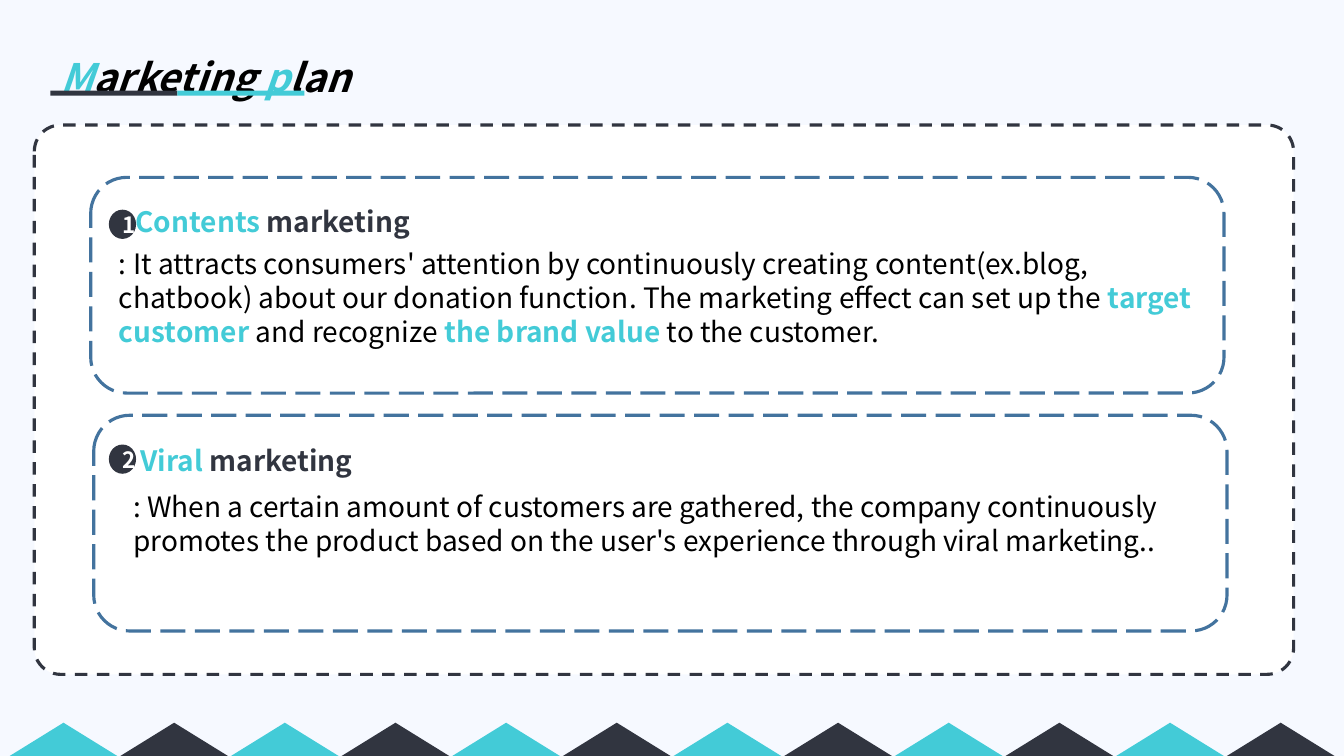
"""Build the marketing plan slide."""

from dataclasses import dataclass

from pptx import Presentation
from pptx.dml.color import RGBColor
from pptx.enum.dml import MSO_LINE
from pptx.enum.shapes import MSO_SHAPE
from pptx.enum.text import MSO_ANCHOR, MSO_AUTO_SIZE, PP_ALIGN
from pptx.oxml.xmlchemy import OxmlElement
from pptx.shapes.autoshape import Shape
from pptx.shapes.shapetree import GroupShapes, SlideShapes
from pptx.text.text import TextFrame, _Paragraph
from pptx.util import Inches, Pt

FONT = "Noto Sans CJK KR"
PALE = RGBColor(0xF6, 0xF9, 0xFF)
WHITE = RGBColor(0xFF, 0xFF, 0xFF)
BLACK = RGBColor(0x00, 0x00, 0x00)
DARK = RGBColor(0x31, 0x35, 0x40)
TEAL = RGBColor(0x43, 0xCB, 0xD7)
BLUE = RGBColor(0x43, 0x73, 0x9E)

TRIANGLE_COUNT = 12
TRIANGLE_PITCH = 1.0975


@dataclass(frozen=True)
class Box:
    left: float
    top: float
    width: float
    height: float


@dataclass(frozen=True)
class Section:
    number: str
    topic: str
    body: list[tuple[str, bool]]
    panel_box: Box
    badge_box: Box
    heading_box: Box
    body_box: Box


SECTIONS = [
    Section(
        "1",
        "Contents",
        [
            (
                ": It attracts consumers' attention by continuously creating "
                "content(ex.blog, chatbook) about our donation function. "
                "The marketing effect can set up the ",
                False,
            ),
            ("target customer ", True),
            ("and recognize ", False),
            ("the brand value ", True),
            ("to the customer.", False),
        ],
        Box(0.9, 1.76, 11.24, 2.14),
        Box(1.08, 2.08, 0.27, 0.29),
        Box(0.34, 1.98, 4.73, 0.44),
        Box(1.08, 2.4, 10.85, 1.11),
    ),
    Section(
        "2",
        "Viral",
        [
            (
                ": When a certain amount of customers are gathered, the company "
                "continuously promotes the product based on the user's "
                "experience through viral marketing..",
                False,
            ),
        ],
        Box(0.93, 4.12, 11.24, 2.14),
        Box(1.08, 4.41, 0.27, 0.29),
        Box(0.08, 4.35, 4.73, 0.44),
        Box(1.22, 4.81, 10.85, 0.77),
    ),
]


def lengths(box: Box) -> tuple[Inches, Inches, Inches, Inches]:
    return Inches(box.left), Inches(box.top), Inches(box.width), Inches(box.height)


def add_span(
    para: _Paragraph,
    text: str,
    *,
    size: float = 20,
    color: RGBColor = BLACK,
    bold: bool = False,
    italic: bool = False,
) -> None:
    span = para.add_run()
    span.text = text
    span.font.name = FONT
    span.font.size = Pt(size)
    span.font.color.rgb = color
    span.font.bold = bold
    span.font.italic = italic


def add_block(
    shapes: SlideShapes | GroupShapes, kind: MSO_SHAPE, box: Box, fill: RGBColor
) -> Shape:
    block = shapes.add_shape(kind, *lengths(box))
    block.shadow.inherit = False
    block.fill.solid()
    block.fill.fore_color.rgb = fill
    block.line.fill.background()
    return block


def add_panel(shapes: SlideShapes, box: Box, color: RGBColor, dash: MSO_LINE) -> Shape:
    panel = add_block(shapes, MSO_SHAPE.ROUNDED_RECTANGLE, box, WHITE)
    panel.line.color.rgb = color
    panel.line.width = Pt(2.25)
    panel.line.dash_style = dash
    return panel


def prepare_text(frame: TextFrame, align: PP_ALIGN) -> _Paragraph:
    frame.word_wrap = True
    frame.auto_size = MSO_AUTO_SIZE.SHAPE_TO_FIT_TEXT
    frame.vertical_anchor = MSO_ANCHOR.TOP
    para = frame.paragraphs[0]
    para.alignment = align
    para.space_before = Pt(0)
    return para


def place(holder: Shape, box: Box) -> _Paragraph:
    holder.left, holder.top, holder.width, holder.height = lengths(box)
    holder.element.getparent().append(holder.element)
    return prepare_text(holder.text_frame, PP_ALIGN.LEFT)


def add_title(shapes: SlideShapes) -> None:
    para = place(shapes.title, Box(0.5, 0.01, 4.6, 0.9))
    para.line_spacing = 2.0
    for text, color in [("M", TEAL), ("arketing ", BLACK), ("p", TEAL), ("lan", BLACK)]:
        add_span(para, text, size=28, color=color, bold=True, italic=True)
    underline = shapes.add_group_shape().shapes
    for index, color in enumerate([DARK, TEAL]):
        box = Box(0.5 + 1.26 * index, 0.9, 1.26, 0.05)
        add_block(underline, MSO_SHAPE.RECTANGLE, box, color)


def add_border(shapes: SlideShapes) -> None:
    border = shapes.add_group_shape().shapes
    for index in range(TRIANGLE_COUNT):
        box = Box(0.08 + TRIANGLE_PITCH * index, 7.17, 1.1, 0.34)
        add_block(border, MSO_SHAPE.ISOSCELES_TRIANGLE, box, DARK if index % 2 else TEAL)


def add_section(shapes: SlideShapes, section: Section, holder: Shape) -> None:
    add_panel(shapes, section.panel_box, BLUE, MSO_LINE.LONG_DASH)

    badge = add_block(shapes, MSO_SHAPE.OVAL, section.badge_box, DARK)
    badge.text_frame.vertical_anchor = MSO_ANCHOR.MIDDLE
    para = badge.text_frame.paragraphs[0]
    para.alignment = PP_ALIGN.CENTER
    add_span(para, section.number, size=16, color=WHITE, bold=True)

    heading = shapes.add_textbox(*lengths(section.heading_box))
    para = prepare_text(heading.text_frame, PP_ALIGN.CENTER)
    add_span(para, section.topic, color=TEAL, bold=True)
    add_span(para, " marketing", color=DARK, bold=True)

    para = place(holder, section.body_box)
    properties = para._p.get_or_add_pPr()
    properties.set("marL", "0")
    properties.set("indent", "0")
    properties.append(OxmlElement("a:buNone"))
    for text, key in section.body:
        add_span(para, text, color=TEAL if key else BLACK, bold=key)


def main() -> None:
    deck = Presentation()
    deck.slide_width, deck.slide_height = Inches(13.33), Inches(7.5)
    page = deck.slides.add_slide(deck.slide_layouts.get_by_name("Two Content"))
    page.background.fill.solid()
    page.background.fill.fore_color.rgb = PALE

    frame = add_panel(page.shapes, Box(0.34, 1.24, 12.49, 5.45), DARK, MSO_LINE.DASH)
    frame.adjustments[0] = 0.048
    add_title(page.shapes)
    add_border(page.shapes)
    holders = [page.placeholders[1], page.placeholders[2]]
    for section, holder in zip(SECTIONS, holders):
        add_section(page.shapes, section, holder)
    deck.save("out.pptx")


if __name__ == "__main__":
    main()
